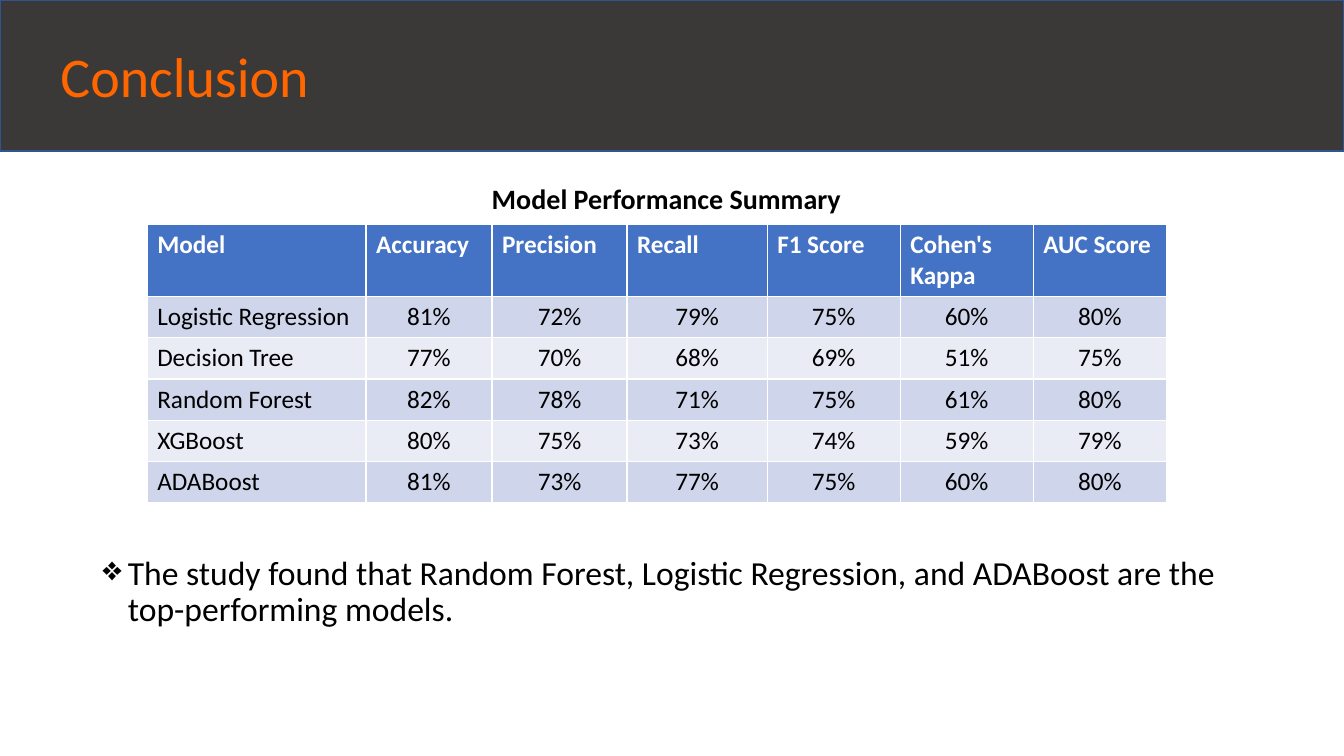
import pptx
import pptx.dml.color
import pptx.enum.text
import pptx.oxml.ns
import pptx.util
from lxml import etree

Inches, Pt = pptx.util.Inches, pptx.util.Pt
ALIGN = pptx.enum.text.PP_ALIGN
ANCHOR = pptx.enum.text.MSO_ANCHOR

COLORS = {
    "band": "3B3838", "band_line": "325491", "title": "FF6600",
    "header": "4472C4", "odd_row": "CFD5EA", "even_row": "E9EBF5",
    "white": "FFFFFF", "black": "000000",
}
HEADINGS = ["Model", "Accuracy", "Precision", "Recall", "F1 Score",
            "Cohen's Kappa", "AUC Score"]
SCORES = {
    "Logistic Regression": [81, 72, 79, 75, 60, 80],
    "Decision Tree": [77, 70, 68, 69, 51, 75],
    "Random Forest": [82, 78, 71, 75, 61, 80],
    "XGBoost": [80, 75, 73, 74, 59, 79],
    "ADABoost": [81, 73, 77, 75, 60, 80],
}
COLUMN_WIDTHS = [2.17, 1.25, 1.34, 1.39, 1.32, 1.32, 1.32]
HEADER_HEIGHT, ROW_HEIGHT = 0.7, 0.41


def color(name):
    """Return the named colour."""
    return pptx.dml.color.RGBColor.from_string(COLORS[name])


def apply(target, values):
    """Set each attribute in values on the target."""
    for name, value in values.items():
        setattr(target, name, value)


class SlideBuilder:
    """Holds the text style and the current slide."""

    font = "Calibri"

    def __init__(self, deck):
        """Add a title-only slide to the deck."""
        self.page = deck.slides.add_slide(deck.slide_layouts[5])

    def add_text(self, frame, text, size, ink, bold=False, **layout):
        """Put one formatted paragraph into a text frame."""
        para = frame.paragraphs[0]
        apply(para, layout)
        span = para.add_run()
        span.text = text
        apply(span.font, {"name": self.font, "size": Pt(size), "bold": bold})
        span.font.color.rgb = color(ink)
        return para

    def title_band(self, text, width, height):
        """Turn the title placeholder into a filled band across the top."""
        band = self.page.shapes.title
        apply(band, {"left": 0, "top": 0, "width": Inches(width), "height": Inches(height)})
        band.fill.solid()
        band.fill.fore_color.rgb = color("band")
        band.line.color.rgb = color("band_line")
        band.line.width = Pt(1)
        apply(band.text_frame, {
            "margin_left": Inches(0.6), "vertical_anchor": ANCHOR.MIDDLE,
            "auto_size": pptx.enum.text.MSO_AUTO_SIZE.NONE})
        self.add_text(band.text_frame, text, 40, "title",
                      alignment=ALIGN.LEFT, line_spacing=1.0)

    def text_box(self, text, area, size, bold=False, anchor=ANCHOR.TOP, align=ALIGN.LEFT):
        """Add a wrapped text box and return its paragraph."""
        box = self.page.shapes.add_textbox(*map(Inches, area))
        apply(box.text_frame, {"word_wrap": True, "vertical_anchor": anchor})
        return self.add_text(box.text_frame, text, size, "black", bold,
                             alignment=align, line_spacing=0.9, space_before=Pt(10))

    def bullet_box(self, text, area, size):
        """Add a text box with a hanging diamond bullet."""
        properties = self.text_box(text, area, size)._p.get_or_add_pPr()
        properties.set("marL", str(Inches(0.25)))
        properties.set("indent", str(-Inches(0.25)))
        bullet = etree.SubElement(properties, pptx.oxml.ns.qn("a:buChar"))
        bullet.set("char", "❖")

    def score_table(self, left, top):
        """Add the table with one row of scores per model."""
        rows = [HEADINGS] + [[model] + [f"{score}%" for score in scores]
                             for model, scores in SCORES.items()]
        heights = [HEADER_HEIGHT] + [ROW_HEIGHT] * len(SCORES)
        table = self.page.shapes.add_table(
            len(rows), len(HEADINGS), Inches(left), Inches(top),
            Inches(sum(COLUMN_WIDTHS)), Inches(sum(heights))).table
        for column, width in zip(table.columns, COLUMN_WIDTHS):
            column.width = Inches(width)
        for row_index, (row, height) in enumerate(zip(rows, heights)):
            table.rows[row_index].height = Inches(height)
            is_header = row_index == 0
            fill = "header" if is_header else "odd_row" if row_index % 2 else "even_row"
            for column_index, text in enumerate(row):
                cell = table.cell(row_index, column_index)
                cell.fill.solid()
                cell.fill.fore_color.rgb = color(fill)
                centred = column_index > 0 and not is_header
                self.add_text(cell.text_frame, text, 18, "white" if is_header else "black",
                              is_header, alignment=ALIGN.CENTER if centred else ALIGN.LEFT)


def main():
    """Build the conclusion slide and save it."""
    deck = pptx.Presentation()
    apply(deck, {"slide_width": Inches(13.33), "slide_height": Inches(7.5)})
    slide = SlideBuilder(deck)
    slide.title_band("Conclusion", 13.33, 1.5)
    slide.score_table(1.46, 2.23)
    slide.bullet_box("The study found that Random Forest, Logistic Regression, and "
                     "ADABoost are the top-performing models.", (0.92, 5.47, 11.5, 1.22), 24)
    slide.text_box("Model Performance Summary", (4.16, 1.78, 4.9, 0.42), 20,
                   bold=True, anchor=ANCHOR.MIDDLE, align=ALIGN.CENTER)
    deck.save("out.pptx")


main()
